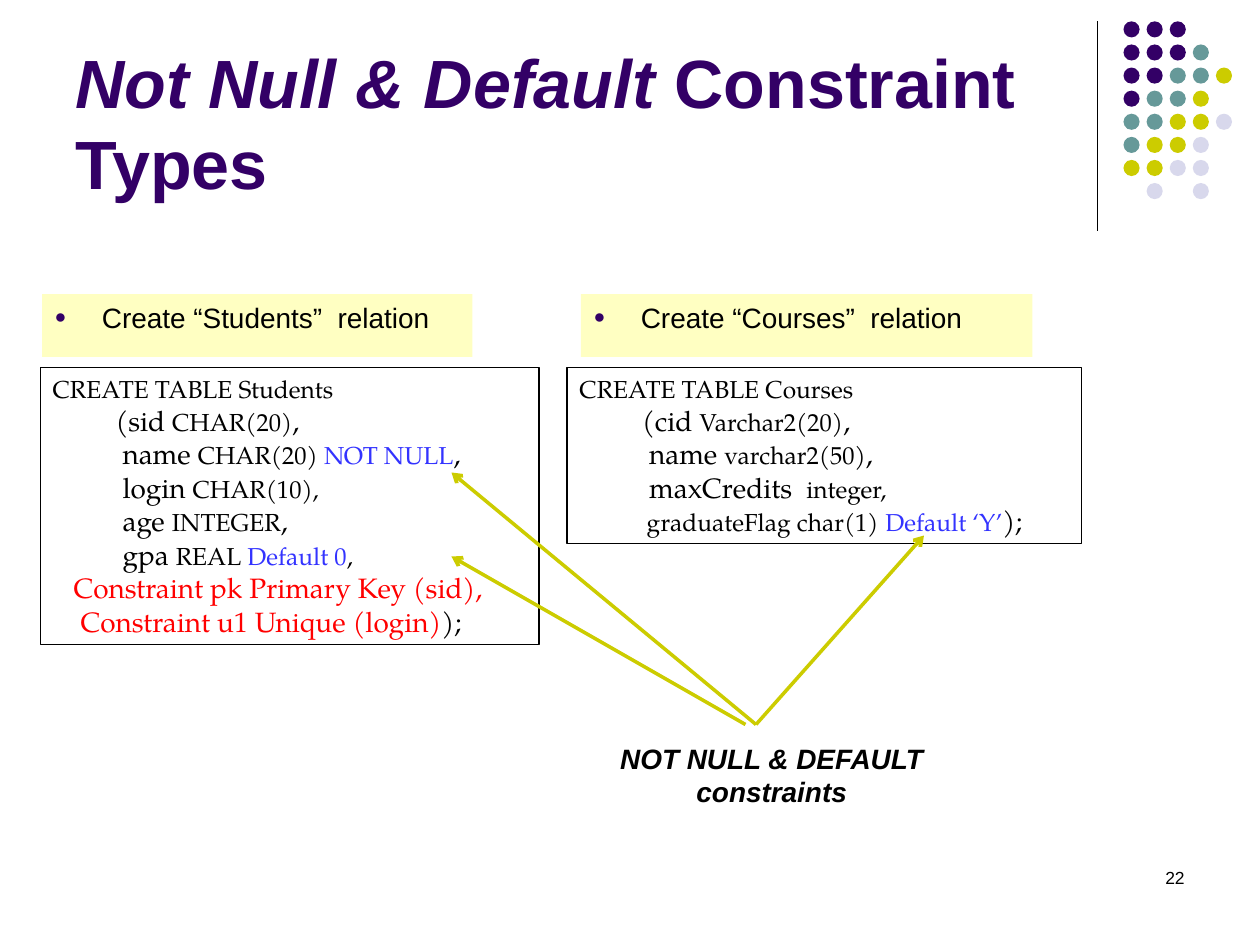
from dataclasses import dataclass

from lxml import etree
from pptx import Presentation
from pptx.dml.color import RGBColor
from pptx.enum.shapes import MSO_CONNECTOR, MSO_SHAPE
from pptx.enum.text import MSO_ANCHOR, MSO_AUTO_SIZE, PP_ALIGN
from pptx.oxml.ns import qn
from pptx.util import Pt

STRAIGHT = MSO_CONNECTOR.STRAIGHT
OVAL, RECT = MSO_SHAPE.OVAL, MSO_SHAPE.RECTANGLE
TOP, BOTTOM = MSO_ANCHOR.TOP, MSO_ANCHOR.BOTTOM
LEFT, CENTER, RIGHT = PP_ALIGN.LEFT, PP_ALIGN.CENTER, PP_ALIGN.RIGHT


@dataclass(frozen=True)
class Theme:
    sans: str = "Arial"
    serif: str = "TeX Gyre Pagella"
    purple: str = "330066"
    teal: str = "669999"
    olive: str = "CCCC00"
    lilac: str = "D8D8EC"
    cream: str = "FFFFC2"
    black: str = "000000"
    blue: str = "3333FF"
    red: str = "FF0000"
    title: int = 39
    body: int = 16
    code: int = 14
    number: int = 10


T = Theme()
BIG, SMALL = T.body, T.code

DOT_ROWS = ["PPP", "PPPT", "PPTTO", "PTTO", "TTOOL", "TOOL", "OOLL", " L L"]
DOT_COLORS = {"P": T.purple, "T": T.teal, "O": T.olive, "L": T.lilac}

STUDENTS = [
    [("CREATE TABLE Students", SMALL, T.black)],
    [("\t(sid ", BIG, T.black), ("CHAR(20)", SMALL, T.black), (",", BIG, T.black)],
    [("\t name ", BIG, T.black), ("CHAR(20) ", SMALL, T.black),
     ("NOT NULL", SMALL, T.blue), (",", BIG, T.black)],
    [("\t login ", BIG, T.black), ("CHAR(10),", SMALL, T.black)],
    [("\t age ", BIG, T.black), ("INTEGER", SMALL, T.black), (",", BIG, T.black)],
    [("\t gpa ", BIG, T.black), ("REAL ", SMALL, T.black),
     ("Default 0", SMALL, T.blue), (",", SMALL, T.black)],
    [("   Constraint pk Primary Key (sid),", BIG, T.red)],
    [("    Constraint u1 Unique (login)", BIG, T.red), (");", BIG, T.black)],
]
COURSES = [
    [("CREATE TABLE Courses", SMALL, T.black)],
    [("         (cid ", BIG, T.black), ("Varchar2(20)", SMALL, T.black), (",", BIG, T.black)],
    [("          name ", BIG, T.black), ("varchar2(50)", SMALL, T.black), (",", BIG, T.black)],
    [("          maxCredits  ", BIG, T.black), ("integer,", SMALL, T.black)],
    [("           graduateFlag char(1) ", SMALL, T.black),
     ("Default ‘Y’", SMALL, T.blue), (");", BIG, T.black)],
]


def rgb(color):
    return RGBColor.from_string(color)


def style(font, name, size, color, bold=False, italic=False):
    font.name, font.size = name, Pt(size)
    font.bold, font.italic = bold, italic
    font.color.rgb = rgb(color)


def place(sp, box):
    sp.left, sp.top, sp.width, sp.height = (Pt(v) for v in box)


def add_line(slide, start, end, color, width, arrow=False):
    line = slide.shapes.add_connector(STRAIGHT, *(Pt(v) for v in (*start, *end)))
    line.line.color.rgb = rgb(color)
    line.line.width = Pt(width)
    if arrow:
        etree.SubElement(line.line._get_or_add_ln(), qn("a:tailEnd"), type="arrow")
    etree.SubElement(line._element.spPr, qn("a:effectLst"))


def add_decoration(slide, box):
    left, top, width, height = box
    add_line(slide, (left, top), (left, top + height), T.black, 0.75)
    pitch, size = 13.2, 9.2
    first = left + width - 4 * pitch - size
    for i, row in enumerate(DOT_ROWS):
        for j, key in enumerate(row):
            if key == " ":
                continue
            dot = slide.shapes.add_shape(
                OVAL, Pt(first + j * pitch), Pt(top + i * pitch), Pt(size), Pt(size))
            dot.shadow.inherit = False
            dot.fill.solid()
            dot.fill.fore_color.rgb = rgb(DOT_COLORS[key])
            dot.line.fill.background()


def fill_title(sp, box):
    place(sp, box)
    tf = sp.text_frame
    tf.auto_size, tf.vertical_anchor = MSO_AUTO_SIZE.NONE, BOTTOM
    p = tf.paragraphs[0]
    p.alignment = LEFT
    for text, italic in (("Not Null & Default ", True), ("Constraint Types", False)):
        r = p.add_run()
        r.text = text
        style(r.font, T.sans, T.title, T.purple, True, italic)


def fill_heading(sp, box, text):
    place(sp, box)
    sp.fill.solid()
    sp.fill.fore_color.rgb = rgb(T.cream)
    tf = sp.text_frame
    tf.text = text
    tf.auto_size, tf.vertical_anchor = MSO_AUTO_SIZE.NONE, TOP
    p = tf.paragraphs[0]
    p.space_before = Pt(0)
    pPr = p._p.get_or_add_pPr()
    pPr.set("marL", str(Pt(27)))
    pPr.set("indent", str(-Pt(27)))
    color = etree.SubElement(pPr, qn("a:buClr"))
    etree.SubElement(color, qn("a:srgbClr"), val=T.purple)
    etree.SubElement(pPr, qn("a:buSzPct"), val="70000")
    etree.SubElement(pPr, qn("a:buChar"), char="●")
    style(p.runs[0].font, T.sans, T.body, T.black)


def add_code(slide, box, lines, wrap):
    sp = slide.shapes.add_shape(RECT, *(Pt(v) for v in box))
    sp.shadow.inherit = False
    sp.fill.background()
    sp.line.color.rgb = rgb(T.black)
    sp.line.width = Pt(0.75)
    tf = sp.text_frame
    tf.word_wrap, tf.vertical_anchor = wrap, TOP
    for i, line in enumerate(lines):
        p = tf.add_paragraph() if i else tf.paragraphs[0]
        p.alignment = LEFT
        for text, size, color in line:
            r = p.add_run()
            r.text = text
            style(r.font, T.serif, size, color)


def add_label(slide, box, text, size, alignment, emphasis=False):
    sp = slide.shapes.add_textbox(*(Pt(v) for v in box))
    tf = sp.text_frame
    tf.text = text
    tf.word_wrap = True
    p = tf.paragraphs[0]
    p.alignment = alignment
    style(p.runs[0].font, T.sans, size, T.black, emphasis, emphasis)


def add_callout(slide, box):
    left, top, width, height = box
    add_label(slide, box, "NOT NULL & DEFAULT constraints", T.body, CENTER, True)
    for x, target in ((90, (528, 306)), (90, (258, 270)), (84, (258, 318))):
        add_line(slide, (left + x, top - 6), target, T.olive, 2, arrow=True)


def main():
    prs = Presentation()
    prs.slide_width, prs.slide_height = Pt(720), Pt(540)
    slide = prs.slides.add_slide(prs.slide_layouts[3])
    title, students, courses = slide.placeholders
    add_decoration(slide, (627, 12.2, 77, 120))
    fill_title(title, (36, 18, 594, 102))
    fill_heading(students, (24, 168, 246, 36), "Create “Students”  relation")
    fill_heading(courses, (332, 168, 258, 36), "Create “Courses”  relation")
    add_code(slide, (23, 210, 285, 158.4), STUDENTS, False)
    add_code(slide, (324, 210, 294, 100.8), COURSES, True)
    add_callout(slide, (342, 420, 198, 46))
    add_label(slide, (516, 492, 168, 36), "22", T.number, RIGHT)
    prs.save("out.pptx")


if __name__ == "__main__":
    main()
